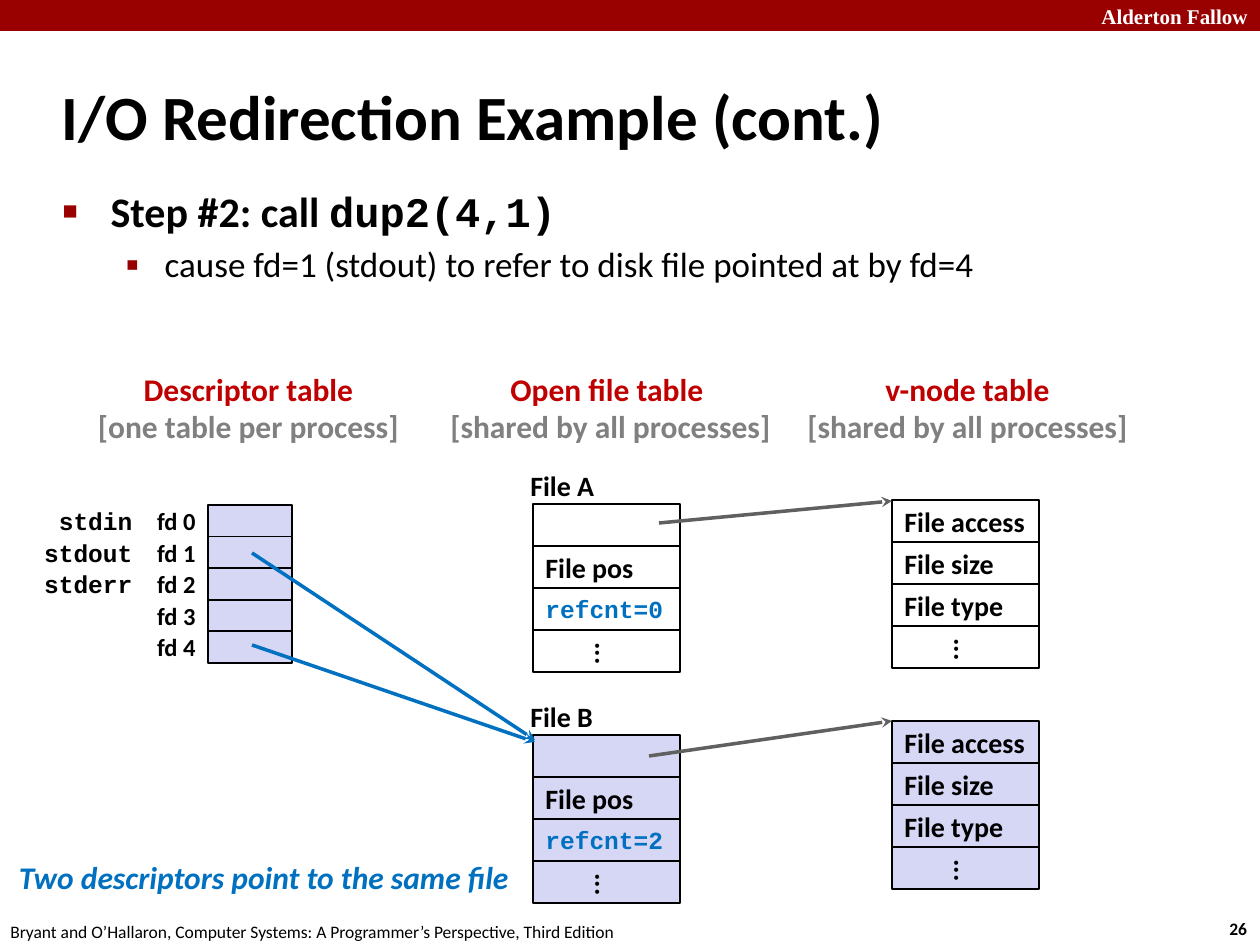
from dataclasses import dataclass

from lxml.etree import SubElement
from pptx import Presentation
from pptx.dml.color import RGBColor
from pptx.enum.shapes import MSO_CONNECTOR, MSO_SHAPE
from pptx.enum.text import MSO_ANCHOR, MSO_AUTO_SIZE, PP_ALIGN
from pptx.oxml.ns import qn
from pptx.util import Pt


@dataclass(frozen=True)
class Theme:
    """Colours, typefaces and type sizes of the slide."""
    banner: str = "990000"
    heading: str = "C00000"
    scope: str = "808080"
    accent: str = "0070C0"
    pointer: str = "606060"
    shaded: str = "D6D6F5"
    white: str = "FFFFFF"
    black: str = "000000"
    sans: str = "Calibri"
    mono: str = "Courier New"
    serif: str = "Times New Roman"
    title: int = 36
    step: int = 24
    detail: int = 20
    caption: int = 18
    field: int = 16
    code: int = 14
    school: int = 12
    footer: int = 10


THEME = Theme()
EMU_PER_PX = 914400 / 126


def px(length):
    """Turn px into EMU."""
    return round(length * EMU_PER_PX)


def place(part, box):
    """Move a part to a box of left, top, width and height."""
    part.left, part.top, part.width, part.height = map(px, box)


def style(paragraph, size, color=THEME.black, face=THEME.sans, bold=True, italic=False):
    """Set the font of a whole paragraph."""
    font = paragraph.font
    font.size, font.name, font.bold, font.italic = Pt(size), face, bold, italic
    font.color.rgb = RGBColor.from_string(color)


def write(holder, text, size, align=PP_ALIGN.LEFT, **look):
    """Write one vertically centred line into a shape or text box."""
    frame = holder.text_frame
    frame.word_wrap = False
    frame.vertical_anchor = MSO_ANCHOR.MIDDLE
    paragraph = frame.paragraphs[0]
    paragraph.text, paragraph.alignment = text, align
    style(paragraph, size, **look)
    return frame


def label(slide, box, text, size, align=PP_ALIGN.LEFT, **look):
    """Add a text box with one line."""
    return write(slide.shapes.add_textbox(*map(px, box)), text, size, align, **look)


def cell(slide, box, fill, outlined=True):
    """Add a plain filled rectangle."""
    rectangle = slide.shapes.add_shape(MSO_SHAPE.RECTANGLE, *map(px, box))
    rectangle.shadow.inherit = False
    rectangle.fill.solid()
    rectangle.fill.fore_color.rgb = RGBColor.from_string(fill)
    if outlined:
        rectangle.line.color.rgb = RGBColor.from_string(THEME.black)
        rectangle.line.width = Pt(1)
    else:
        rectangle.line.fill.background()
    return rectangle


def arrow(slide, start, end, color):
    """Draw a pointer from one place to another."""
    pointer = slide.shapes.add_connector(MSO_CONNECTOR.STRAIGHT, *map(px, start + end))
    pointer.line.color.rgb = RGBColor.from_string(color)
    pointer.line.width = Pt(2)
    SubElement(pointer.line._get_or_add_ln(), qn("a:tailEnd"), type="stealth")
    SubElement(pointer._element.spPr, qn("a:effectLst"))


def bullet(paragraph, mark, percent, margin, hang):
    """Give a paragraph a coloured bullet and a hanging indent."""
    properties = paragraph._p.get_or_add_pPr()
    properties.set("marL", str(px(margin)))
    properties.set("indent", str(px(-hang)))
    color = SubElement(properties, qn("a:buClr"))
    SubElement(color, qn("a:srgbClr"), val=THEME.banner)
    SubElement(properties, qn("a:buSzPct"), val=str(percent * 1000))
    SubElement(properties, qn("a:buChar"), char=mark)


def page_frame(slide, box):
    """Place the banner, the footer and the page number."""
    left, top, width, height = box
    cell(slide, (left, top, width, 31), THEME.banner, outlined=False)
    label(slide, (left + width - 171, top - 3, 180, 38), "Alderton Fallow",
          THEME.school, color=THEME.white, face=THEME.serif)
    label(slide, (left + width - 43, top + height - 34, 47, 34), "26", THEME.footer)
    label(slide, (left - 2, top + height - 31, 640, 34),
          "Bryant and O’Hallaron, Computer Systems: A Programmer’s Perspective, Third Edition",
          THEME.footer, bold=False)


def title_region(slide, box):
    """Fill the title placeholder."""
    title = slide.shapes.title
    place(title, box)
    frame = write(title, "I/O Redirection Example (cont.)", THEME.title)
    frame.word_wrap = True
    frame.auto_size = MSO_AUTO_SIZE.NONE


def step_region(slide, box):
    """Fill the body placeholder with the step and its effect."""
    body = slide.placeholders[1]
    place(body, box)
    frame = body.text_frame
    frame.auto_size = MSO_AUTO_SIZE.NONE
    step = frame.paragraphs[0]
    step.add_run().text = "Step #2: call "
    call = step.add_run()
    call.text, call.font.name = "dup2(4,1)", THEME.mono
    bullet(step, "■", 60, 48, 48)
    style(step, THEME.step)
    effect = frame.add_paragraph()
    effect.text = "cause fd=1 (stdout) to refer to disk file pointed at by fd=4"
    effect.level = 1
    bullet(effect, "▪", 110, 102, 39)
    style(effect, THEME.detail, bold=False)


def table_heading(slide, box, name, scope):
    """Place a table name above the scope of that table."""
    frame = label(slide, box, name, THEME.caption, PP_ALIGN.CENTER, color=THEME.heading)
    sharing = frame.add_paragraph()
    sharing.text, sharing.alignment = scope, PP_ALIGN.CENTER
    style(sharing, THEME.caption, THEME.scope)


def descriptor_table(slide, box, streams, count):
    """Draw numbered descriptors with the names of the standard streams."""
    left, top, width, height = box
    row = height / count
    for number in range(count):
        y = top + number * row
        cell(slide, (left + width - 84, y, 84, row), THEME.shaded)
        label(slide, (left + width - 169, y, 85, row), f"fd {number}",
              THEME.code, PP_ALIGN.RIGHT)
    for number, stream in enumerate(streams):
        label(slide, (left, top + number * row, 114, row), stream,
              THEME.code, PP_ALIGN.RIGHT, face=THEME.mono)


def record(slide, box, fields, fill):
    """Draw a record with one cell for each field and a closing ellipsis."""
    left, top, width, height = box
    row = height / (len(fields) + 1)
    for number, field in enumerate([*fields, "..."]):
        part = cell(slide, (left, top + number * row, width, row), fill)
        if field.startswith("refcnt"):
            write(part, field, THEME.code, color=THEME.accent, face=THEME.mono)
        elif field:
            frame = write(part, field, THEME.field)
            if field == "...":
                frame._txBody.bodyPr.set("vert", "eaVert")


def open_file(slide, box, name, references, fill):
    """Draw a named entry of the open file table."""
    left, top = box[:2]
    record(slide, box, ["", "File pos", f"refcnt={references}"], fill)
    label(slide, (left - 15, top - 42, 89, 47), name, THEME.field)


def main():
    """Build and save the slide."""
    deck = Presentation()
    deck.slide_width, deck.slide_height = px(1260), px(945)
    slide = deck.slides.add_slide(deck.slide_layouts[1])
    page_frame(slide, (0, 0, 1260, 945))
    title_region(slide, (49, 63, 1046, 105))
    step_region(slide, (50, 179, 1188, 136))
    shared = "[shared by all processes]"
    table_heading(slide, (84, 363, 329, 89), "Descriptor table", "[one table per process]")
    table_heading(slide, (436, 363, 349, 89), "Open file table ", shared)
    table_heading(slide, (793, 363, 349, 89), "v-node table", shared)
    descriptor_table(slide, (31, 505, 261, 158), ["stdin", "stdout", "stderr"], 5)
    files = [("File A", 0, THEME.white, 504, 500), ("File B", 2, THEME.shaded, 735, 721)]
    for name, references, fill, file_top, node_top in files:
        open_file(slide, (533, file_top, 147, 168), name, references, fill)
        record(slide, (892, node_top, 147, 168),
               ["File access", "File size", "File type"], fill)
    arrow(slide, (252, 553), (535, 740), THEME.accent)
    arrow(slide, (252, 645), (535, 742), THEME.accent)
    arrow(slide, (659, 523), (892, 501), THEME.pointer)
    arrow(slide, (649, 756), (892, 721), THEME.pointer)
    label(slide, (3, 852, 522, 50), "Two descriptors point to the same file",
          THEME.caption, PP_ALIGN.CENTER, color=THEME.accent, italic=True)
    deck.save("out.pptx")


if __name__ == "__main__":
    main()
